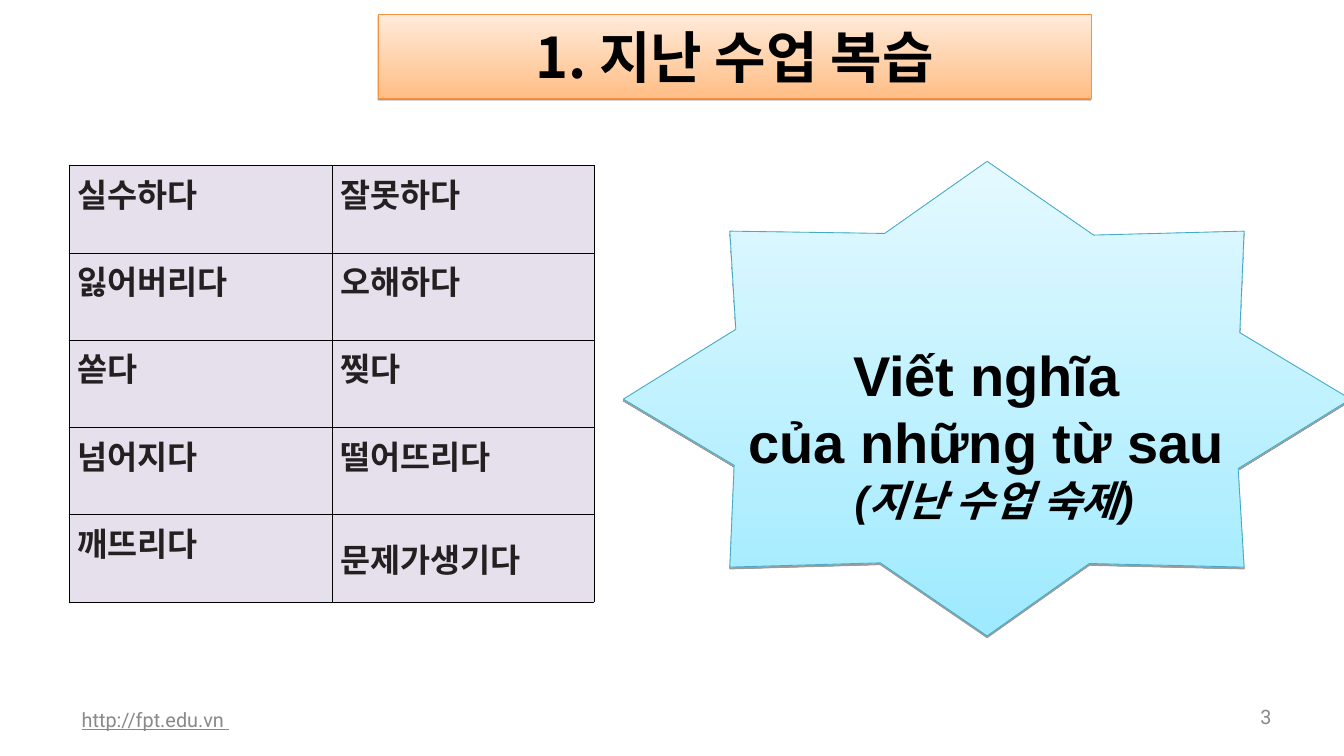
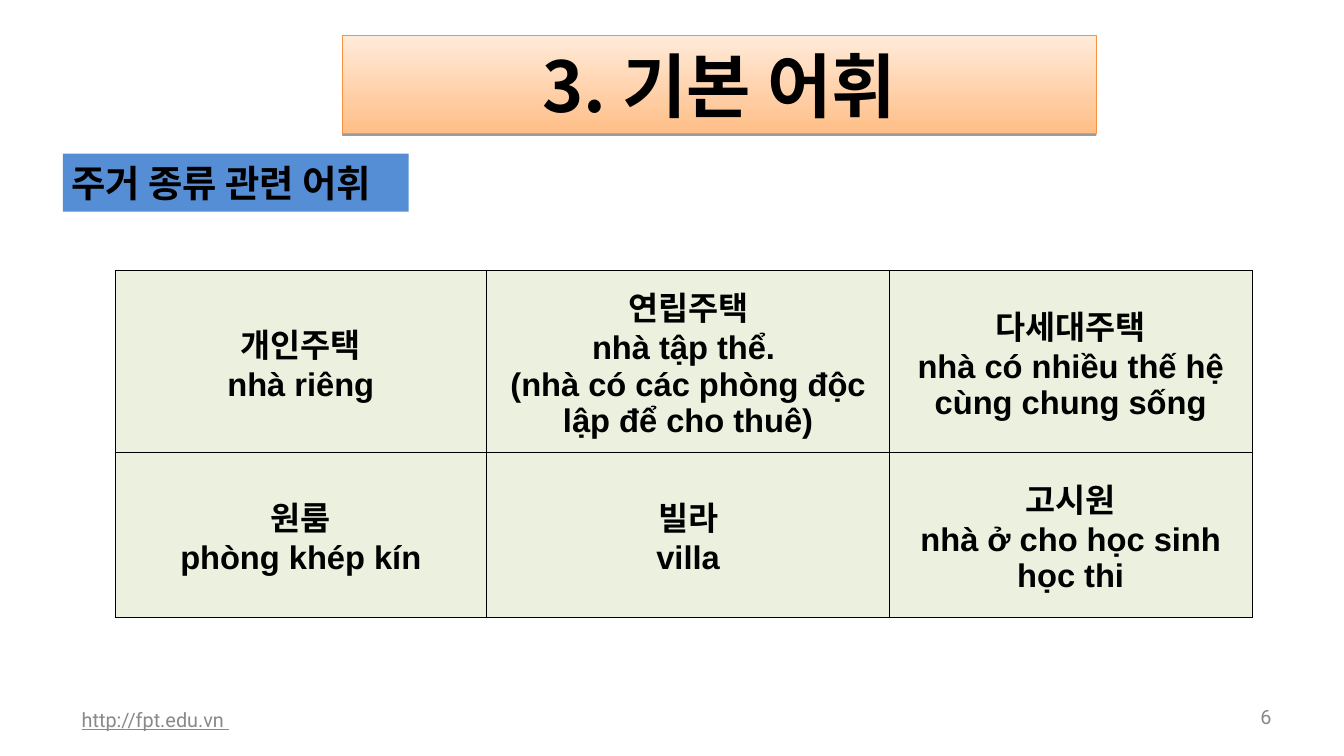
from lxml.etree import SubElement
from pptx import Presentation
from pptx.dml.color import RGBColor as RGB
from pptx.enum.shapes import MSO_SHAPE as Shape
from pptx.enum.text import MSO_ANCHOR as Anchor
from pptx.enum.text import MSO_AUTO_SIZE as Fit
from pptx.enum.text import PP_ALIGN as Align
from pptx.oxml.ns import qn
from pptx.util import Cm, Pt

HUES = {
    "black": "000000", "ink": "242021", "gray": "898989",
    "peach": "FFBE86", "cream": "FFEBDB", "orange": "F69240",
    "aqua": "9EEAFF", "ice": "E4F9FF", "teal": "46AAC5",
    "blue": "558ED5", "lilac": "E6E0EC", "sage": "EBF1DE",
}
KOREAN, LATIN, SMALL = "Noto Sans CJK KR", "Arial", "Roboto"

STAR = [
    (18.85, 12.07), (22.2, 14.07), (22.07, 17.15), (26.62, 17.02),
    (29.85, 19.23), (32.94, 17.04), (37.62, 17.15), (37.44, 14.17),
    (40.84, 12.07), (37.49, 10.06), (37.62, 6.99), (33.07, 7.11),
    (29.85, 4.88), (26.75, 7.06), (22.07, 6.99), (22.25, 9.96),
]
VERBS = [
    ("실수하다", "잘못하다"),
    ("잃어버리다", "오해하다"),
    ("쏟다", "찢다"),
    ("넘어지다", "떨어뜨리다"),
    ("깨뜨리다", "문제가생기다"),
]
HOMES = [
    ("개인주택\nnhà riêng",
     "연립주택\nnhà tập thể. \n(nhà có các phòng độc lập để cho thuê)",
     "다세대주택\nnhà có nhiều thế hệ cùng chung sống"),
    ("원룸\nphòng khép kín",
     "빌라\nvilla",
     "고시원\nnhà ở cho học sinh học thi"),
]


def hue(name):
    return RGB.from_string(HUES[name])


def place(shape, box):
    shape.left, shape.top, shape.width, shape.height = map(Cm, box)


def style(para, size, face, color="black", bold=True, align=Align.LEFT):
    para.alignment = align
    font = para.font
    font.size, font.name, font.bold = Pt(size), face, bold
    font.color.rgb = hue(color)
    props = para._p.pPr.find(qn("a:defRPr"))
    SubElement(props, qn("a:ea"), typeface=KOREAN)
    return font


def frame(shape, text, pad=(0.25, 0.13), anchor=Anchor.MIDDLE):
    """Fill the shape's text frame and return its paragraphs."""
    body = shape.text_frame
    body.text = text
    body.word_wrap, body.auto_size = True, Fit.NONE
    body.vertical_anchor = anchor
    body.margin_left = body.margin_right = Cm(pad[0])
    body.margin_top = body.margin_bottom = Cm(pad[1])
    return body.paragraphs


def glow(shape, low, high, edge):
    """Gradient from low (bottom) to high (top), thin edge, drop shadow."""
    shape.fill.gradient()
    shape.fill.gradient_angle = 90
    for stop, name in zip(shape.fill.gradient_stops, (low, high)):
        stop.color.rgb = hue(name)
    shape.line.color.rgb = hue(edge)
    shape.line.width = Pt(0.75)
    shape.shadow.inherit = False
    effects = shape._element.spPr.find(qn("a:effectLst"))
    shade = SubElement(effects, qn("a:outerShdw"), blurRad="0",
                       dist=str(Pt(1.6)), dir="5400000", rotWithShape="0")
    tint = SubElement(shade, qn("a:srgbClr"), val=HUES["black"])
    SubElement(tint, qn("a:alpha"), val="38000")


def rule(cell):
    """Draw a thin black line on each side of the cell."""
    props = cell._tc.get_or_add_tcPr()
    for side in ("lnL", "lnR", "lnT", "lnB"):
        line = SubElement(props, qn(f"a:{side}"), w=str(Pt(0.23)))
        fill = SubElement(line, qn("a:solidFill"))
        SubElement(fill, qn("a:srgbClr"), val=HUES["black"])


class Deck:
    def __init__(self):
        self.show = Presentation()
        self.show.slide_width, self.show.slide_height = Cm(40.64), Cm(22.86)

    def page(self, number, title, box, size):
        self.slide = self.show.slides.add_slide(self.show.slide_layouts[5])
        self.shapes = self.slide.shapes
        self.text("http://fpt.edu.vn ", (2.11, 21.16, 12.88, 1.22)).underline = True
        self.text(number, (36.83, 21.16, 1.98, 1.04), Align.RIGHT)
        head = self.shapes.title
        place(head, box)
        glow(head, "peach", "cream", "orange")
        style(frame(head, title)[0], size, KOREAN, align=Align.CENTER)

    def text(self, words, box, align=Align.LEFT):
        """Add a small gray footer text and return its font."""
        area = self.shapes.add_textbox(*map(Cm, box))
        para = frame(area, words, (0.36, 0.18))[0]
        return style(para, 17, SMALL, "gray", False, align)

    def label(self, words, box):
        bar = self.shapes.add_shape(Shape.RECTANGLE, *map(Cm, box))
        bar.fill.solid()
        bar.fill.fore_color.rgb = hue("blue")
        bar.line.fill.background()
        bar.shadow.inherit = False
        style(frame(bar, words)[0], 32, KOREAN)

    def star(self, points):
        start, *rest = [(Cm(x), Cm(y)) for x, y in points]
        pen = self.shapes.build_freeform(*start)
        pen.add_line_segments(rest, close=True)
        glow(pen.convert_to_shape(), "aqua", "ice", "teal")

    def task(self, lines, box):
        """Add centred lines, the last one smaller and italic."""
        area = self.shapes.add_textbox(*map(Cm, box))
        *main, last = frame(area, "\n".join(lines), anchor=Anchor.TOP)
        for para in main:
            style(para, 48, LATIN, align=Align.CENTER)
        style(last, 36, LATIN, align=Align.CENTER).italic = True

    def table(self, rows, spot, widths, heights, fill, face, color, align, anchor):
        size = sum(widths), sum(heights)
        grid = self.shapes.add_table(len(rows), len(widths),
                                     *map(Cm, spot + size)).table
        grid.first_row = grid.horz_banding = False
        for col, width in zip(grid.columns, widths):
            col.width = Cm(width)
        for row, height, words in zip(grid.rows, heights, rows):
            row.height = Cm(height)
            for cell, text in zip(row.cells, words):
                rule(cell)
                cell.fill.solid()
                cell.fill.fore_color.rgb = hue(fill)
                cell.vertical_anchor = anchor
                cell.text = text
                for para in cell.text_frame.paragraphs:
                    style(para, 28, face, color, align=align)
        return grid


def main():
    deck = Deck()

    deck.page("3", "1. 지난 수업 복습", (11.43, 0.43, 21.56, 2.54), 48)
    deck.star(STAR)
    deck.task(["Viết nghĩa ", "của những từ sau ", "(지난 수업 숙제)"],
              (20.75, 10.16, 18.62, 5.84))
    verbs = deck.table(VERBS, (2.08, 5), (7.95, 7.92), [2.64] * 5, "lilac",
                       KOREAN, "ink", Align.LEFT, Anchor.TOP)
    verbs.cell(4, 1).vertical_anchor = Anchor.MIDDLE

    deck.page("6", "3. 기본 어휘", (10.36, 1.07, 22.78, 2.97), 60)
    deck.label("주거 종류 관련 어휘", (1.9, 4.65, 10.46, 1.75))
    deck.table(HOMES, (3.48, 8.18), (11.23, 12.19, 10.95), (5.49, 5), "sage",
               LATIN, "black", Align.CENTER, Anchor.MIDDLE)

    deck.show.save("out.pptx")


if __name__ == "__main__":
    main()
